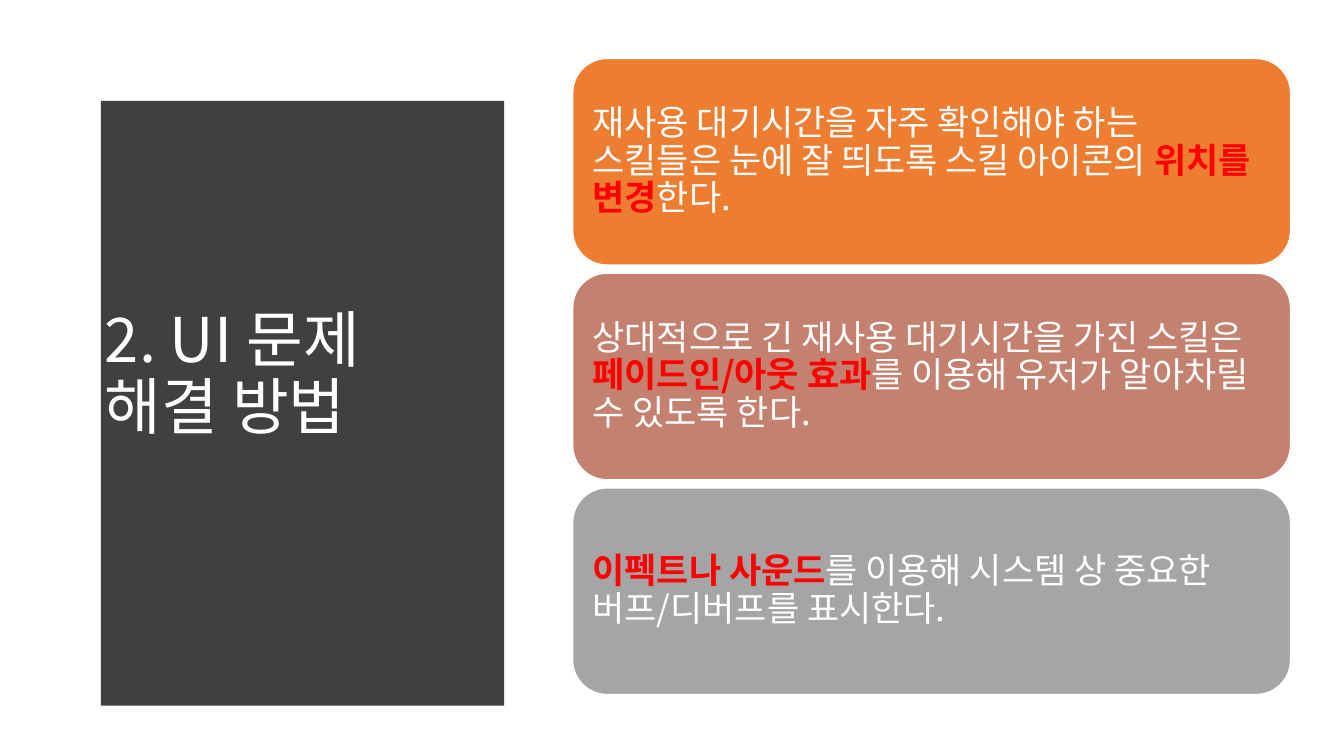
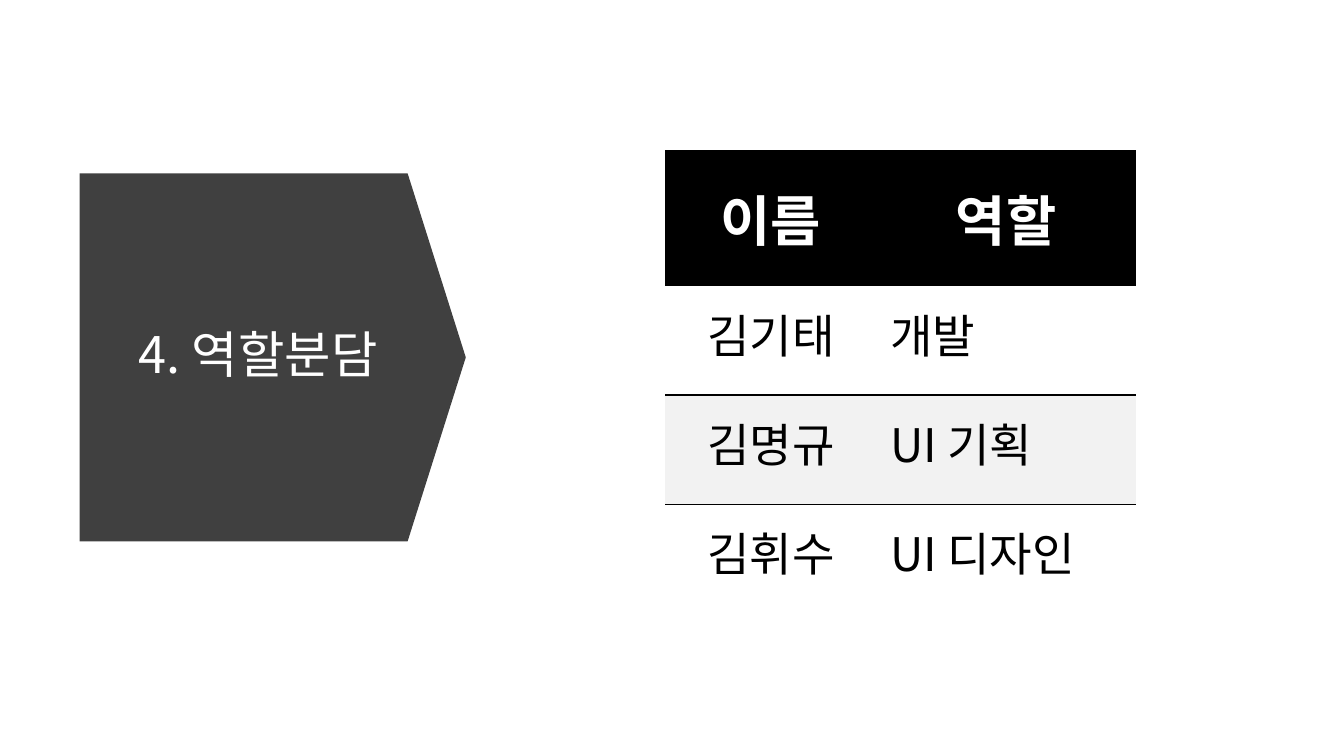
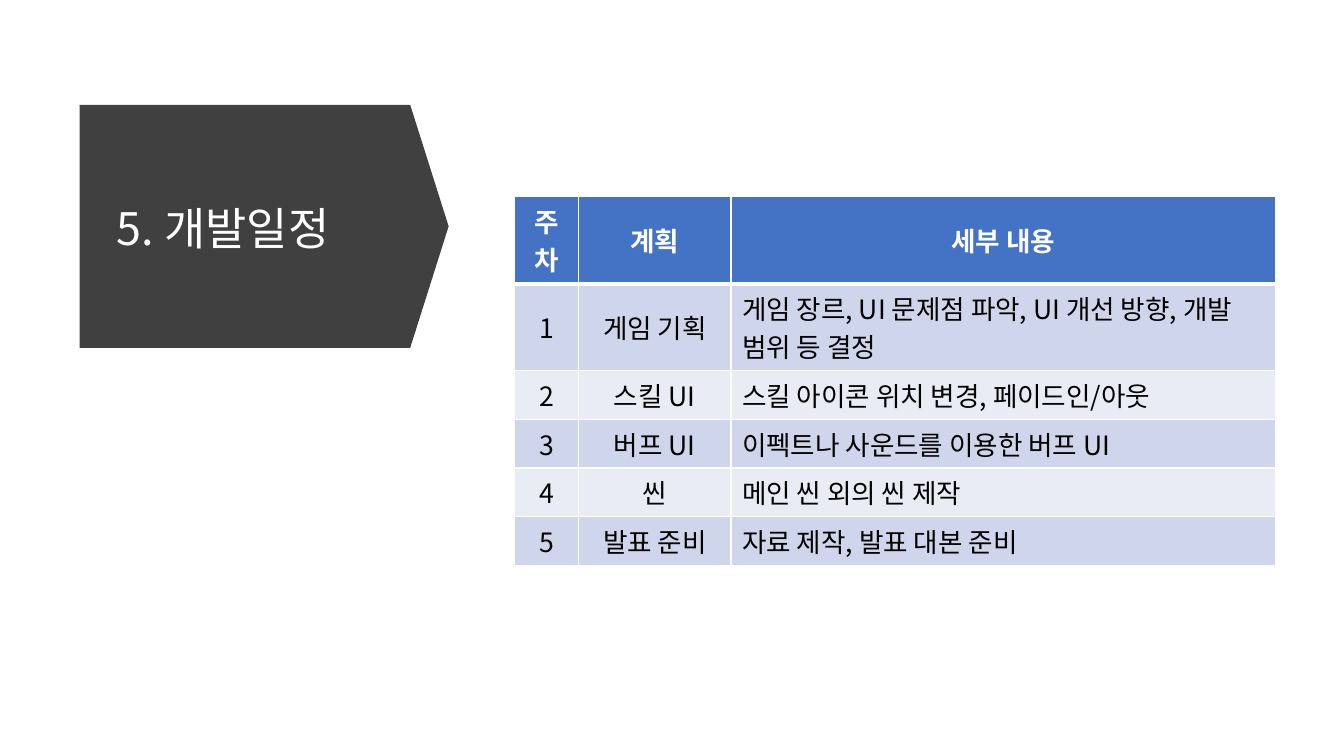
from lxml import etree
from pptx import Presentation, util as u
from pptx.dml.color import RGBColor
from pptx.enum import shapes, text
from pptx.oxml.ns import qn

# ---- Shared look ----
FONT = "Noto Sans CJK KR"
COLORS = dict(white="FFFFFF", black="000000", band="404040", accent="FF0000",
              orange="ED7D31", rose="C48170", gray="A5A5A5", stripe="F2F2F2",
              blue="4472C4", odd="CFD5EA", even="E9EBF5")
LEFT, CENTER = text.PP_ALIGN.LEFT, text.PP_ALIGN.CENTER
PLAIN_TABLE = "{2D5ABB26-0587-4C30-8999-92F81FD0307C}"
HEAD_SHARE = 0.158  # arrow head as a share of the band's height

# ---- Content: boxes are left, top, width, height in inches ----
SOLUTIONS = dict(
    title="2. UI 문제 해결 방법", size=44, align=LEFT, title_box=(0.94, 1.11, 3.74, 5.24),
    band_box=(0.53, 0.52, 4.79, 6.44), bulge=0.24,
    card_box=(5.68, 0.58, 7.12, 2.05), card_step=2.13,
    # "*" separates plain and stressed wording in turn
    cards=[
        ("orange", "재사용 대기시간을 자주 확인해야 하는 스킬들은 눈에 잘 띄도록 스킬 아이콘의 *위치를 변경*한다."),
        ("rose", "상대적으로 긴 재사용 대기시간을 가진 스킬은 *페이드인/아웃 효과*를 이용해 유저가 알아차릴 수 있도록 한다."),
        ("gray", "*이펙트나 사운드*를 이용해 시스템 상 중요한 버프/디버프를 표시한다."),
    ])
ROLES = dict(
    title="4. 역할분담", size=36, align=CENTER, title_box=(1.12, 2.15, 2.88, 2.79),
    band_box=(0.79, 1.72, 3.83, 3.65),
    table=dict(
        at=(6.6, 1.49), cols=(2.04, 2.63), rows=(1.3, 1.07, 1.07, 1.07),
        sizes=(39, 33), fills=("black", None, "stripe"),
        head_margins=(0.19, 0.28, 0.14, 0.28), margins=(0.19, 0.14, 0.14, 0.28),
        borders={1: {"B": ("black", 1)}, 2: {"T": ("black", 1)}}, every=None,
        cells=[("이름", "역할"), ("김기태", "개발"), ("김명규", "UI 기획"), ("김휘수", "UI 디자인")]))
SCHEDULE = dict(
    title="5. 개발일정", size=32, align=LEFT, title_box=(1.06, 1.32, 2.92, 1.95),
    band_box=(0.79, 1.04, 3.66, 2.41),
    table=dict(
        at=(5.1, 1.95), cols=(0.64, 1.51, 5.4), rows=(0.79, 0.79) + (0.47,) * 4,
        sizes=(19, 19), fills=("blue", "odd", "even"),
        head_margins=(0.11, 0.05) * 2, margins=(0.11, 0.05) * 2,
        borders={0: {"B": ("white", 3)}, 1: {"T": ("white", 3)}}, every=("white", 1),
        cells=[("주차", "계획", "세부 내용"),
               ("1", "게임 기획", "게임 장르, UI 문제점 파악, UI 개선 방향, 개발 범위 등 결정"),
               ("2", "스킬 UI", "스킬 아이콘 위치 변경, 페이드인/아웃"),
               ("3", "버프 UI", "이펙트나 사운드를 이용한 버프 UI"),
               ("4", "씬", "메인 씬 외의 씬 제작"),
               ("5", "발표 준비", "자료 제작, 발표 대본 준비")]))


def rgb(color):
    return RGBColor.from_string(COLORS[color])


def inches(values):
    return [u.Inches(v) for v in values]


def set_all(target, **values):
    for name, value in values.items():
        setattr(target, name, value)


def set_margins(target, margins):
    sides = ("margin_left", "margin_top", "margin_right", "margin_bottom")
    set_all(target, **dict(zip(sides, inches(margins))))


def add_run(paragraph, wording, size, color, bold=False):
    run = paragraph.add_run()
    run.text = wording
    set_all(run.font, size=u.Pt(size), name=FONT, bold=bold)
    run.font.color.rgb = rgb(color)
    etree.SubElement(run.font._element, qn("a:ea"), typeface=FONT)


def paint(shape, color):
    shape.shadow.inherit = False
    shape.fill.solid()
    shape.fill.fore_color.rgb = rgb(color)
    shape.line.fill.background()


def add_titled_slide(deck, page, draw_band):
    slide = deck.slides.add_slide(deck.slide_layouts[5])
    title = slide.shapes.title
    set_all(title, **dict(zip(("left", "top", "width", "height"), inches(page["title_box"]))))
    frame = title.text_frame
    set_all(frame, word_wrap=True, auto_size=text.MSO_AUTO_SIZE.NONE,
            vertical_anchor=text.MSO_ANCHOR.MIDDLE)
    set_all(frame.paragraphs[0], alignment=page["align"], line_spacing=0.9)
    add_run(frame.paragraphs[0], page["title"], page["size"], "white")
    band = draw_band(slide, page)
    paint(band, "band")
    title._element.addprevious(band._element)
    return slide


def curved_band(slide, page):
    left, top, width, height = page["band_box"]
    edge, steps = left + width - page["bulge"], 40
    curve = []
    for i in range(steps + 1):
        offset = abs(2 * i / steps - 1)
        curve.append((edge + page["bulge"] * (1 - offset ** 2.15), top + height * i / steps))
    outline = slide.shapes.build_freeform(left, top, scale=u.Inches(1))
    outline.add_line_segments(curve + [(left, top + height)], close=True)
    return outline.convert_to_shape()


def arrow_band(slide, page):
    left, top, width, height = page["band_box"]
    # A down arrow turned to point right: its own width is the band's height
    turned = (left + (width - height) / 2, top + (height - width) / 2, height, width)
    band = slide.shapes.add_shape(shapes.MSO_SHAPE.DOWN_ARROW, *inches(turned))
    band.rotation = 270
    band.adjustments[0], band.adjustments[1] = 1, HEAD_SHARE
    return band


def add_cards(slide, page):
    left, top, width, height = page["card_box"]
    for i, (color, wording) in enumerate(page["cards"]):
        card = slide.shapes.add_shape(
            shapes.MSO_SHAPE.ROUNDED_RECTANGLE,
            *inches((left, top + i * page["card_step"], width, height)))
        paint(card, color)
        card.line.color.rgb = rgb("white")
        card.line.width = u.Pt(1)
        set_margins(card.text_frame, (0.1,) * 4)
        set_all(card.text_frame, word_wrap=True, vertical_anchor=text.MSO_ANCHOR.MIDDLE)
        paragraph = card.text_frame.paragraphs[0]
        set_all(paragraph, alignment=LEFT, line_spacing=0.9, space_after=u.Pt(9))
        for n, part in enumerate(wording.split("*")):
            stressed = n % 2 == 1
            if part:
                add_run(paragraph, part, 25, "accent" if stressed else "white", stressed)


def set_borders(cell, borders):
    props = cell._tc.get_or_add_tcPr()
    for i, side in enumerate(side for side in "LRTB" if side in borders):
        color, width = borders[side]
        line = etree.Element(qn("a:ln" + side), w=str(u.Pt(width)))
        fill = etree.SubElement(line, qn("a:solidFill"))
        etree.SubElement(fill, qn("a:srgbClr"), val=COLORS[color])
        props.insert(i, line)


def add_grid(slide, grid):
    cols, rows = grid["cols"], grid["rows"]
    table = slide.shapes.add_table(
        len(rows), len(cols), *inches((*grid["at"], sum(cols), sum(rows)))).table
    table._tbl.tblPr.find(qn("a:tableStyleId")).text = PLAIN_TABLE
    for column, width in zip(table.columns, cols):
        column.width = u.Inches(width)
    for r, (height, wordings) in enumerate(zip(rows, grid["cells"])):
        table.rows[r].height = u.Inches(height)
        head = r == 0
        color = grid["fills"][0 if head else 2 - r % 2]
        borders = dict.fromkeys("LRTB", grid["every"]) if grid["every"] else {}
        borders.update(grid["borders"].get(r, {}))
        for c, wording in enumerate(wordings):
            cell = table.cell(r, c)
            cell.vertical_anchor = text.MSO_ANCHOR.MIDDLE
            set_margins(cell, grid["head_margins" if head else "margins"])
            if color:
                cell.fill.solid()
                cell.fill.fore_color.rgb = rgb(color)
            else:
                cell.fill.background()
            set_borders(cell, borders)
            paragraph = cell.text_frame.paragraphs[0]
            paragraph.alignment = CENTER if head or c < len(cols) - 1 else LEFT
            add_run(paragraph, wording, grid["sizes"][0 if head else 1],
                    "white" if head else "black", head)


def main():
    deck = Presentation()
    set_all(deck, slide_width=u.Inches(13.33), slide_height=u.Inches(7.5))
    add_cards(add_titled_slide(deck, SOLUTIONS, curved_band), SOLUTIONS)
    for page in (ROLES, SCHEDULE):
        add_grid(add_titled_slide(deck, page, arrow_band), page["table"])
    deck.save("out.pptx")


if __name__ == "__main__":
    main()
